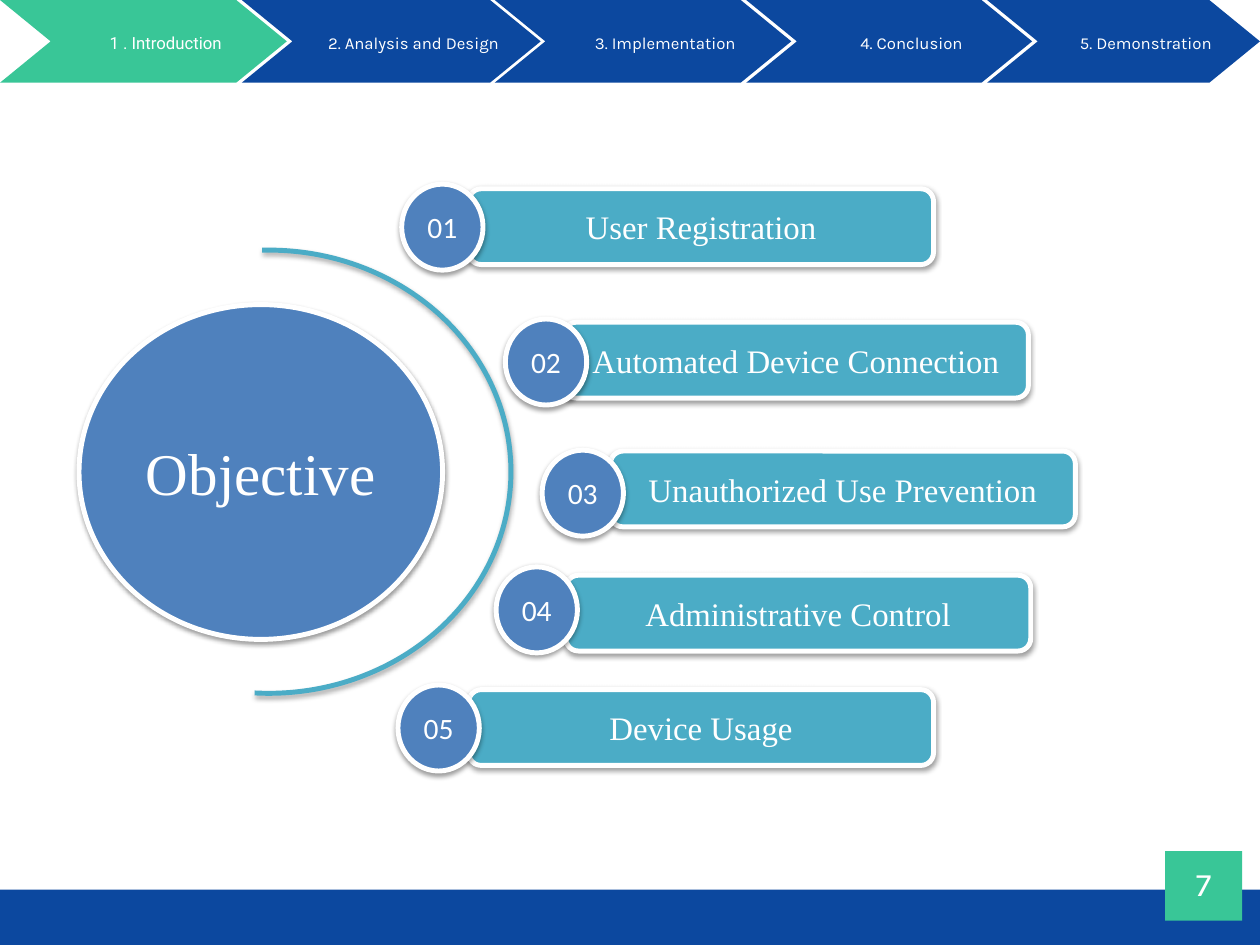
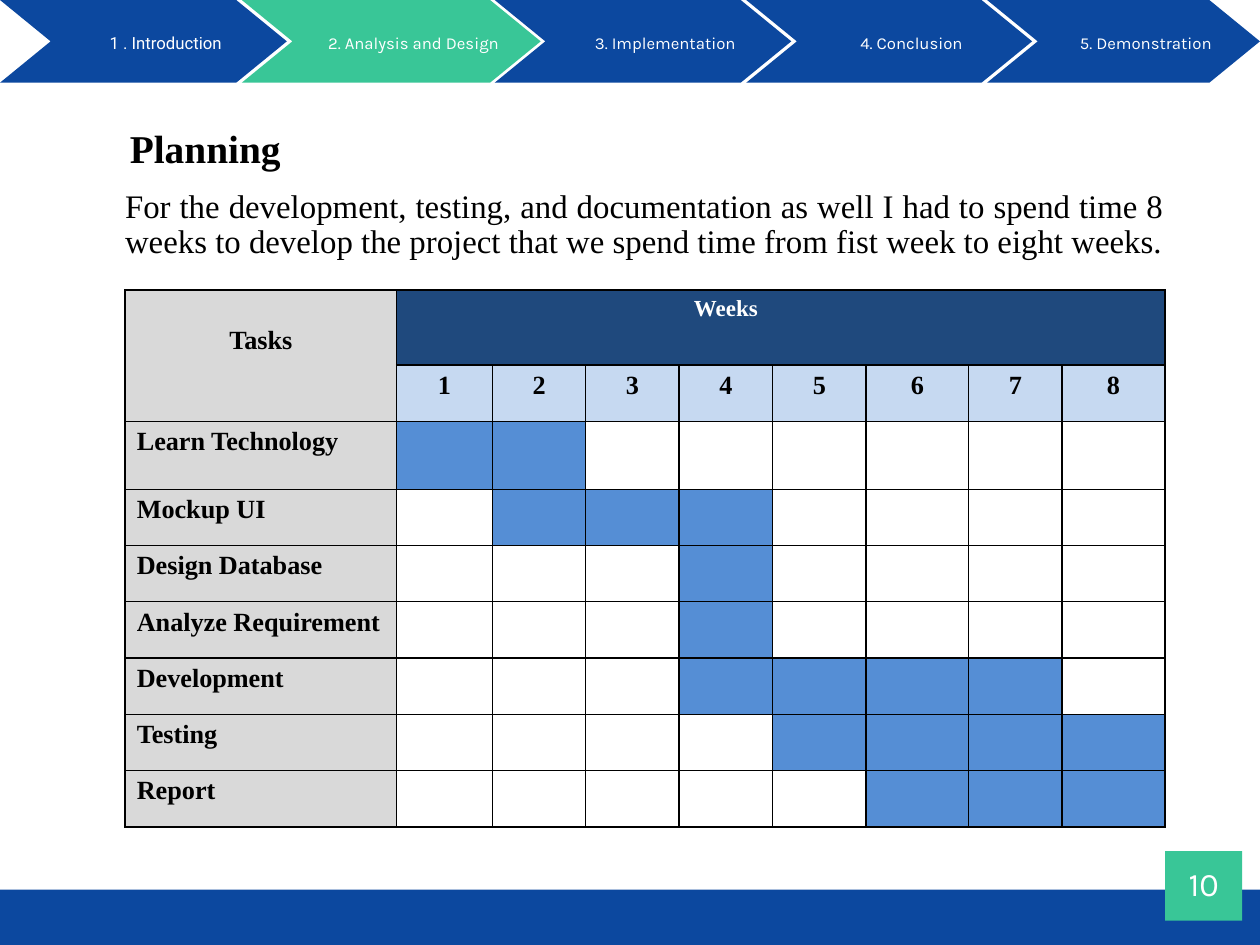
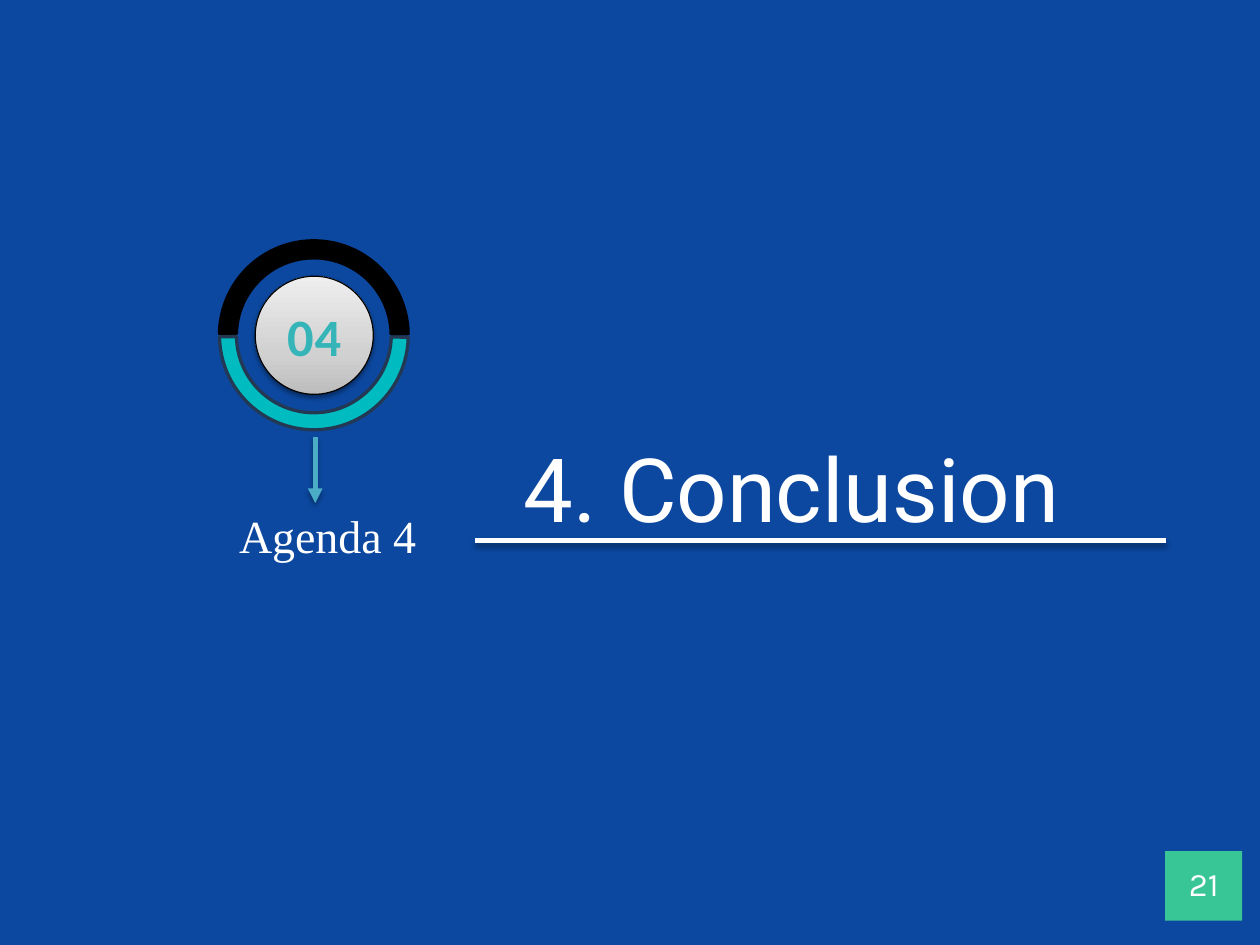
from copy import deepcopy

from lxml import etree
from pptx import Presentation
from pptx import util as u
from pptx.dml.color import RGBColor
from pptx.enum import shapes, text
from pptx.oxml import parse_xml
from pptx.oxml.ns import nsdecls, qn

COLORS = {
    "white": "FFFFFF", "black": "000000", "navy": "0C489F", "green": "39C697",
    "blue": "4F81BD", "aqua": "4BACC6", "teal": "00BBC0", "ring": "233953",
    "number": "36B5B9", "grey": "D9D9D9", "head": "1F497D", "week": "C6D9F1",
    "busy": "558ED5", "dark_metal": "BDBDBD", "metal": "D1D1D1", "light_metal": "EEEEEE",
}
RGB = {name: RGBColor.from_string(value) for name, value in COLORS.items()}
SERIF = "Times New Roman"
SHAPE = shapes.MSO_SHAPE
ALIGN = text.PP_ALIGN
MIDDLE = text.MSO_ANCHOR.MIDDLE


def write(sp, words, size, font, color="white", bold=False, align=ALIGN.CENTER,
          spacing=None, inset=None, anchor=MIDDLE):
    tf = sp.text_frame
    tf.word_wrap = True
    tf.vertical_anchor = anchor
    if inset is not None:
        tf.margin_left = tf.margin_right = tf.margin_top = tf.margin_bottom = u.Cm(inset)
    p = tf.paragraphs[0]
    p.text = words
    p.alignment = align
    if spacing:
        p.line_spacing = u.Pt(spacing)
    p.font.size, p.font.name, p.font.bold = u.Pt(size), font, bold
    p.font.color.rgb = RGB[color]


def style(sp, fill=None, line=None, width=3, shadow=None):
    """Set fill, line and shadow; shadow is (opacity in percent, distance in points)."""
    if fill:
        sp.fill.solid()
        sp.fill.fore_color.rgb = RGB[fill]
    if line:
        sp.line.color.rgb = RGB[line]
        sp.line.width = u.Pt(width)
    else:
        sp.line.fill.background()
    effects = etree.SubElement(sp._element.spPr, qn("a:effectLst"))
    if shadow:
        alpha, dist = shadow
        effects.append(parse_xml(
            f'<a:outerShdw {nsdecls("a")} blurRad="{u.Pt(3.1)}" dist="{u.Pt(dist)}" '
            f'dir="5400000" rotWithShape="0"><a:srgbClr val="{COLORS["black"]}">'
            f'<a:alpha val="{alpha * 1000}"/></a:srgbClr></a:outerShdw>'))


SOFT = (38, 1.6)
THIN = (35, 1.8)

prs = Presentation()
prs.slide_width, prs.slide_height = u.Cm(27.1), u.Cm(20.32)
blank = prs.slide_layouts[6]

# Shared parts: background, bottom band, chevron tabs, page number
TABS = [("1 . Introduction", 0, 6.17), ("2. Analysis and Design", 5.2, 6.43),
        ("3. Implementation", 10.64, 6.38), ("4. Conclusion", 16.05, 6.15),
        ("5. Demonstration", 21.23, 5.87)]
TAB_H, NOTCH, TEXT_SHIFT = 1.78, 1.09, 0.96

for page, active in (("7", 0), ("10", 1), ("21", None)):
    s = prs.slides.add_slide(blank)
    s.background.fill.solid()
    s.background.fill.fore_color.rgb = RGB["navy" if active is None else "white"]
    if active is not None:
        sp = s.shapes.add_shape(SHAPE.RECTANGLE, 0, u.Cm(19.13), prs.slide_width, u.Cm(1.19))
        style(sp, "navy")
        for i, (label, x, w) in enumerate(TABS):
            outline = [(x + w - NOTCH, 0), (x + w, TAB_H / 2), (x + w - NOTCH, TAB_H),
                       (x, TAB_H), (x + NOTCH, TAB_H / 2)]
            fb = s.shapes.build_freeform(u.Cm(x), 0)
            fb.add_line_segments([(u.Cm(px), u.Cm(py)) for px, py in outline])
            style(fb.convert_to_shape(), "green" if i == active else "navy")
            sp = s.shapes.add_textbox(u.Cm(x + TEXT_SHIFT), 0, u.Cm(w - TEXT_SHIFT), u.Cm(TAB_H))
            write(sp, label, 10.2, "Karla" if i else "Roboto", spacing=14.2, inset=0.08)
    sp = s.shapes.add_shape(SHAPE.RECTANGLE, u.Cm(25.06), u.Cm(18.3), u.Cm(1.66), u.Cm(1.5))
    style(sp, "green")
    write(sp, page, 20, "Karla", spacing=21, inset=0.15)

objective, planning, conclusion = prs.slides

# Objective: large disc and arc
s = objective
sp = s.shapes.add_shape(SHAPE.FLOWCHART_CONNECTOR, u.Cm(1.7), u.Cm(6.55), u.Cm(7.82), u.Cm(7.2))
style(sp, "blue", "white", shadow=SOFT)
write(sp, "Objective", 36, SERIF)
sp = s.shapes.add_shape(SHAPE.ARC, u.Cm(0.58), u.Cm(5.38), u.Cm(10.41), u.Cm(9.53))
sp.adjustments[0], sp.adjustments[1] = 160.95, 56.22
sp.fill.background()
style(sp, line="aqua", shadow=THIN)

# Objective: numbered bars
GOALS = [("User Registration", 10.08, 4.06, 8.64, 3.96),
         ("Automated Device Connection", 12.12, 6.93, 10.87, 6.86),
         ("Unauthorized Use Prevention", 13.13, 9.7, 11.66, 9.68),
         ("Administrative Control", 12.17, 12.37, 10.67, 12.19),
         ("Device Usage", 10.08, 14.83, 8.56, 14.73)]
for n, (goal, bar_x, bar_y, disc_x, disc_y) in enumerate(GOALS, 1):
    sp = s.shapes.add_shape(SHAPE.ROUNDED_RECTANGLE, u.Cm(bar_x), u.Cm(bar_y), u.Cm(10), u.Cm(1.63))
    style(sp, "aqua", "white", shadow=SOFT)
    write(sp, goal, 20, SERIF)
    sp = s.shapes.add_shape(SHAPE.FLOWCHART_CONNECTOR, u.Cm(disc_x), u.Cm(disc_y),
                            u.Cm(1.75), u.Cm(1.85))
    style(sp, "blue", "white", shadow=SOFT)
    write(sp, f"{n:02}", 18, "Calibri")

# Planning: heading and paragraph
s = planning
TOP = text.MSO_ANCHOR.TOP
sp = s.shapes.add_textbox(u.Cm(2.69), u.Cm(2.69), u.Cm(3.45), u.Cm(1))
write(sp, "Planning", 24, SERIF, "black", True, spacing=28.5, inset=0, anchor=TOP)
sp = s.shapes.add_textbox(u.Cm(2.69), u.Cm(4.11), u.Cm(22.35), u.Cm(1.5))
write(sp, "For the development, testing, and documentation as well I had to spend time 8 "
      "weeks to develop the project that we spend time from fist week to eight weeks.",
      20, SERIF, "black", align=ALIGN.JUSTIFY, spacing=21, inset=0, anchor=TOP)

# Planning: schedule with first and last week of each task
TASKS = [("Learn Technology", 1, 2), ("Mockup UI", 2, 4), ("Design Database", 4, 4),
         ("Analyze Requirement", 4, 4), ("Development", 4, 7), ("Testing", 5, 8),
         ("Report", 6, 8)]
COL_W = [5.84, 2.06, 2.01, 2.01, 2.01, 2.01, 2.21, 2.01, 2.21]
ROW_H = [1.61, 1.21, 1.46] + [1.21] * 6
table = s.shapes.add_table(len(ROW_H), len(COL_W), u.Cm(2.69), u.Cm(6.24),
                           u.Cm(sum(COL_W)), u.Cm(sum(ROW_H))).table
table.first_row = table.horz_banding = False
for column, w in zip(table.columns, COL_W):
    column.width = u.Cm(w)
for row, h in zip(table.rows, ROW_H):
    row.height = u.Cm(h)

words = {(0, 0): "Tasks", (0, 4): "Weeks"}
words.update({(1, week): str(week) for week in range(1, 9)})
words.update({(r, 0): task[0] for r, task in enumerate(TASKS, 2)})
for r in range(len(ROW_H)):
    for c in range(len(COL_W)):
        cell = table.cell(r, c)
        if c == 0:
            fill = "grey"
        elif r < 2:
            fill = ("head", "week")[r]
        else:
            fill = "busy" if TASKS[r - 2][1] <= c <= TASKS[r - 2][2] else "white"
        cell.fill.solid()
        cell.fill.fore_color.rgb = RGB[fill]
        # The two header areas have no inner borders
        hidden = {"L": r == 0 and c > 1, "R": r == 0 and 0 < c < 8,
                  "T": (r, c) == (1, 0), "B": (r, c) == (0, 0)}
        for i, side in enumerate("LRTB"):
            paint = ("<a:noFill/>" if hidden[side] else
                     f'<a:solidFill><a:srgbClr val="{COLORS["black"]}"/></a:solidFill>')
            cell._tc.get_or_add_tcPr().insert(i, parse_xml(
                f'<a:ln{side} {nsdecls("a")} w="{u.Pt(1)}">{paint}</a:ln{side}>'))
        if (r, c) in words:
            p = cell.text_frame.paragraphs[0]
            p.text = words[r, c]
            p.alignment = ALIGN.LEFT if r > 1 else ALIGN.CENTER
            p.font.name, p.font.bold = SERIF, True
            p.font.size = u.Pt(14 if fill == "head" else 16)
            p.font.color.rgb = RGB["white" if fill == "head" else "black"]
table.cell(0, 0).margin_top = u.Cm(0.78)

# Conclusion: title
s = conclusion
sp = s.shapes.add_textbox(u.Cm(10.21), u.Cm(8.03), u.Cm(13.64), u.Cm(3.23))
write(sp, "4. Conclusion", 54, "Roboto", spacing=101.5, inset=0, anchor=TOP)

# Conclusion: ring of two half arcs around a metal disc
for fill, line, turn in (("black", "black", 0), ("teal", "ring", 180)):
    sp = s.shapes.add_shape(SHAPE.BLOCK_ARC, u.Cm(4.72), u.Cm(5.18), u.Cm(4.06), u.Cm(4.06))
    for i, value in enumerate((108.7, 215.46, 0.09)):
        sp.adjustments[i] = value
    sp.rotation = turn
    style(sp, fill, line, 2)
sp = s.shapes.add_shape(SHAPE.OVAL, u.Cm(5.49), u.Cm(5.94), u.Cm(2.54), u.Cm(2.54))
sp.fill.gradient()
sp.fill.gradient_angle = 90
stops = sp._element.spPr.find(".//" + qn("a:gsLst"))
stops.insert(1, deepcopy(stops[0]))
METAL = ((0, "dark_metal"), (0.35, "metal"), (1, "light_metal"))
for stop, (position, color) in zip(sp.fill.gradient_stops, METAL):
    stop.position = position
    stop.color.rgb = RGB[color]
style(sp, line="black", width=0.75, shadow=SOFT)
write(sp, "04", 32, "Calibri", "number", True)
rPr = sp.text_frame.paragraphs[0].runs[0]._r.get_or_add_rPr()
rPr.set("spc", "50")
rPr.insert(0, parse_xml(f'<a:ln {nsdecls("a")} w="{u.Pt(0.75)}"><a:solidFill>'
                        f'<a:srgbClr val="{COLORS["blue"]}"/></a:solidFill></a:ln>'))

# Conclusion: agenda label, arrow and title rule
sp = s.shapes.add_textbox(u.Cm(4.67), u.Cm(11.07), u.Cm(4.75), u.Cm(0.89))
write(sp, "Agenda 4", 28, SERIF)
LINES = [("aqua", 6.78, 9.4, 6.78, 10.82), ("white", 10.21, 11.63, 25.07, 11.63)]
for color, *ends in LINES:
    sp = s.shapes.add_connector(shapes.MSO_CONNECTOR.STRAIGHT, *map(u.Cm, ends))
    style(sp, line=color, shadow=THIN)
    if color == "aqua":
        etree.SubElement(sp.line._get_or_add_ln(), qn("a:tailEnd"), type="triangle")

prs.save("out.pptx")
